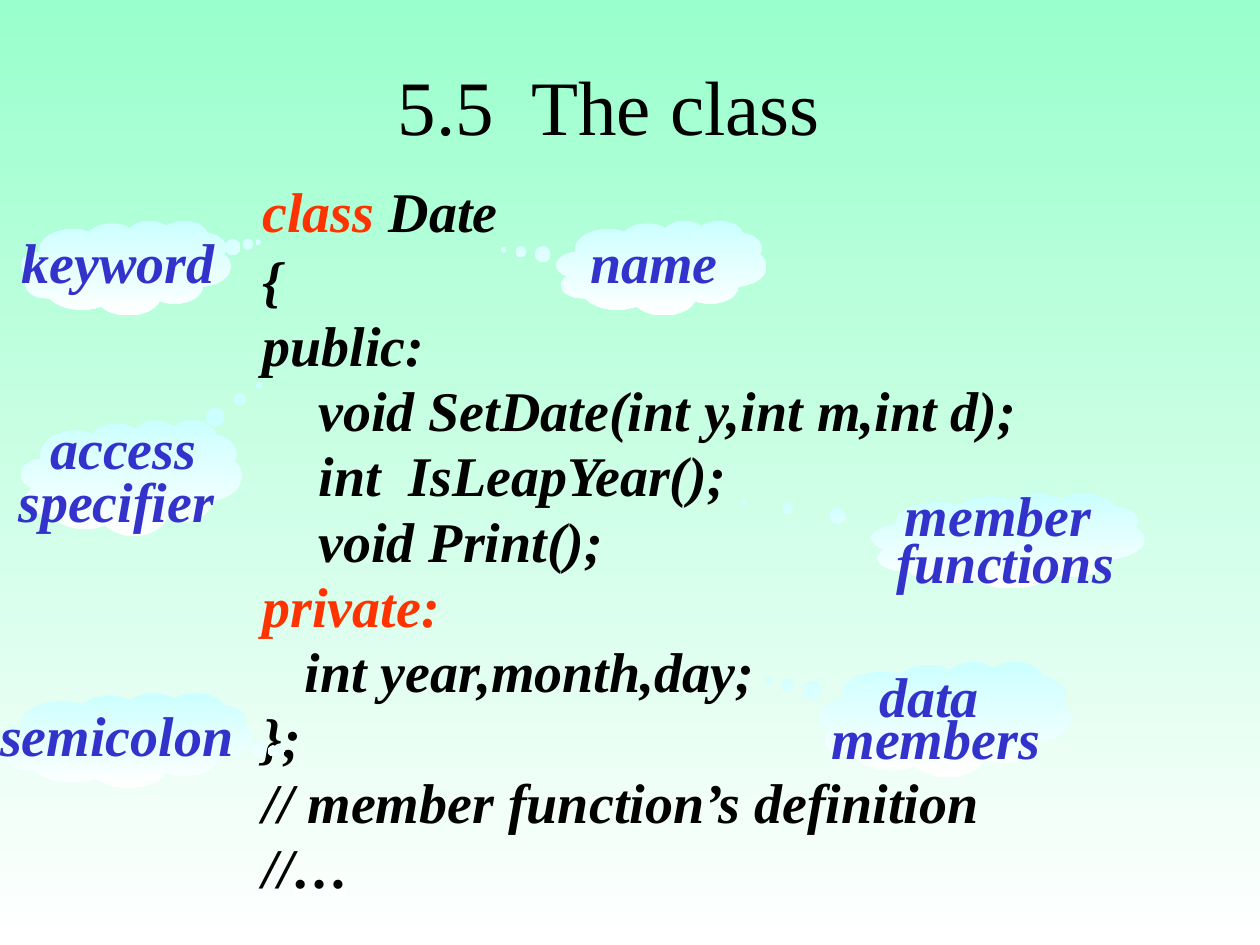
from dataclasses import dataclass
from pptx import Presentation
from pptx.dml.color import RGBColor as Rgb
from pptx.enum.shapes import MSO_SHAPE as Kind
from pptx.enum.text import MSO_ANCHOR as Anchor, PP_ALIGN as Align
from pptx.util import Emu, Pt

PX = 9525


@dataclass(frozen=True)
class Theme:
    face: str = "Times New Roman"
    ink: str = "000000"
    red: str = "FF3300"
    blue: str = "3333CC"
    back: tuple = ("99FFCC", "FFFFFF")
    cloud: tuple = ("CCFFFF", "FFFFFF")
    head: int = 44
    body: int = 32


def px(*nums):
    return [Emu(num * PX) for num in nums]


def apply(item, form):
    for key, val in form.items():
        setattr(item, key, val)


def shade(fill, hues):
    fill.gradient()
    fill.gradient_angle = 270
    for stop, hue in zip(fill.gradient_stops, hues):
        stop.color.rgb = Rgb.from_string(hue)


class Deck:
    def __init__(self, theme):
        self.theme = theme
        self.file = Presentation()
        self.file.slide_width, self.file.slide_height = px(960, 720)
        self.slide = self.file.slides.add_slide(self.file.slide_layouts[6])
        shade(self.slide.background.fill, theme.back)

    def label(self, shape, lines, size, align, gap=0, bold=True, pad=(0, 8), wrap=True):
        frame = shape.text_frame
        side, edge = px(*pad)
        apply(frame, dict(word_wrap=wrap, vertical_anchor=Anchor.MIDDLE,
                          margin_left=side, margin_right=side,
                          margin_top=edge, margin_bottom=edge))
        for num, (space, runs) in enumerate(lines):
            para = frame.add_paragraph() if num else frame.paragraphs[0]
            apply(para, dict(alignment=align, line_spacing=space,
                             space_before=Pt(gap if num else 0)))
            for text, hue in runs:
                run = para.add_run()
                run.text = text
                apply(run.font, dict(name=self.theme.face, size=Pt(size),
                                     bold=bold, italic=bold))
                run.font.color.rgb = Rgb.from_string(hue)

    def title(self, text, box):
        shape = self.slide.shapes.add_textbox(*px(*box))
        self.label(shape, [(1.0, [(text, self.theme.ink)])], self.theme.head,
                   Align.CENTER, bold=False)

    def code(self, rows, box):
        shape = self.slide.shapes.add_textbox(*px(*box))
        lines = [(0.45 if num else 0.7, runs) for num, runs in enumerate(rows)]
        self.label(shape, lines, self.theme.body, Align.LEFT, gap=20)

    def cloud(self, words, box, tip, tight=0.9):
        shape = self.slide.shapes.add_shape(Kind.CLOUD_CALLOUT, *px(*box))
        shape.shadow.inherit = False
        shape.adjustments[0], shape.adjustments[1] = tip
        shade(shape.fill, self.theme.cloud)
        shape.line.fill.background()
        lines = [(tight if num else 0.9, [(word, self.theme.blue)])
                 for num, word in enumerate(words)]
        self.label(shape, lines, self.theme.body, Align.CENTER, gap=8,
                   pad=(2, 5), wrap=False)


def main():
    theme = Theme()
    deck = Deck(theme)
    deck.title("5.5  The class", (56, 20, 816, 120))
    ink, red = theme.ink, theme.red
    deck.code([
        [("class ", red), ("Date", ink)],
        [("{", ink)],
        [("public:", ink)],
        [("    void SetDate(int y,int m,int d);", ink)],
        [("    int  IsLeapYear();", ink)],
        [("    void Print();", ink)],
        [("private:", red)],
        [("   int year,month,day;", ink)],
        [("};", ink)],
        [("// member function’s definition", ink)],
        [("//…", ink)],
    ], (200, 141, 752, 548))
    for args in [
        (["keyword"], (16, 168, 160, 72), (0.63, -0.27)),
        (["name"], (424, 168, 160, 72), (-0.75, -0.19)),
        (["access", "specifier "], (16, 320, 168, 88), (0.58, -0.8), 0.5),
        (["semicolon"], (0, 528, 192, 72), (0.62, 0.12)),
        (["member", " functions"], (664, 376, 208, 72), (-0.97, -0.41), 0.4),
        (["data ", "members"], (624, 504, 192, 88), (-0.7, -0.33), 0.3),
    ]:
        deck.cloud(*args)
    deck.file.save("out.pptx")


if __name__ == "__main__":
    main()
